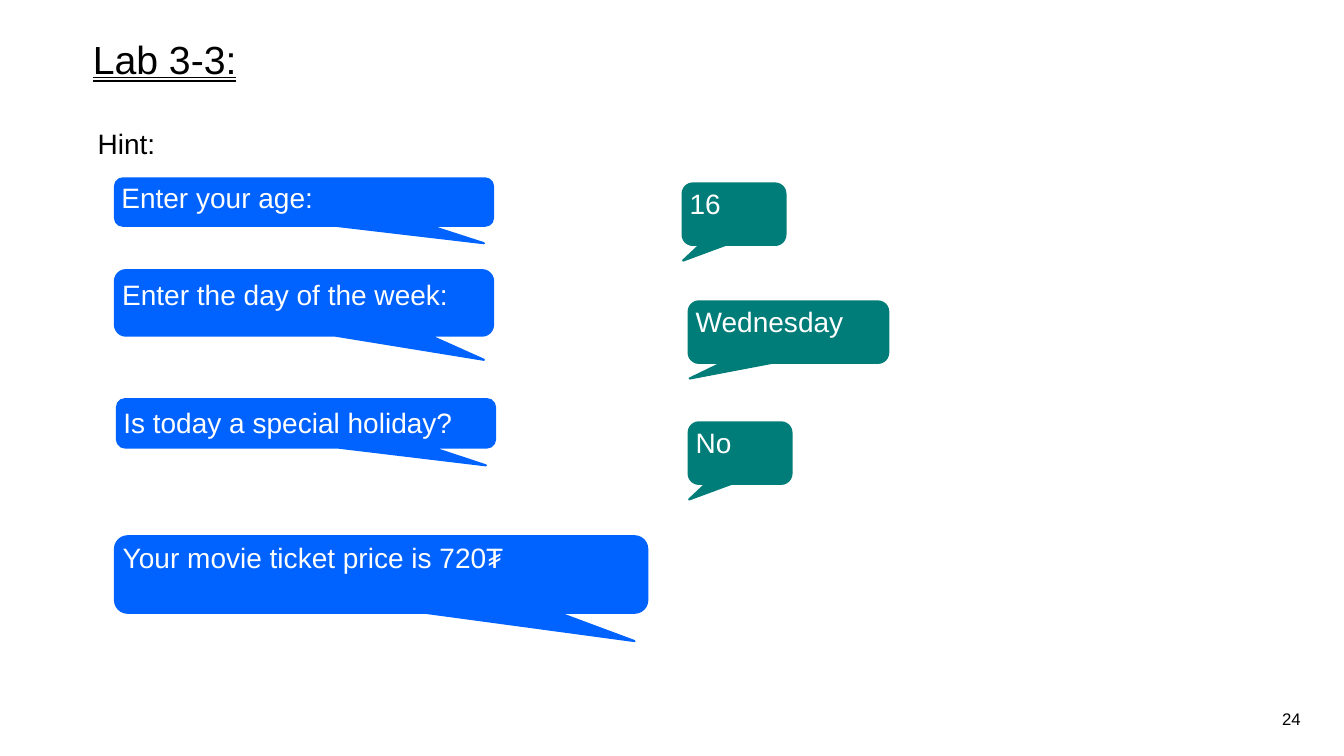
from dataclasses import dataclass

from pptx import Presentation
from pptx.dml.color import RGBColor
from pptx.enum.shapes import MSO_SHAPE
from pptx.enum.text import MSO_ANCHOR, MSO_UNDERLINE, PP_ALIGN
from pptx.util import Inches, Pt

CALLOUT = MSO_SHAPE.ROUNDED_RECTANGULAR_CALLOUT
TOP = MSO_ANCHOR.TOP
LEFT, RIGHT = PP_ALIGN.LEFT, PP_ALIGN.RIGHT
DOUBLE_UNDERLINE = MSO_UNDERLINE.DOUBLE_LINE


@dataclass(frozen=True)
class Theme:
    font: str = "Arial"
    text: RGBColor = RGBColor(0x00, 0x00, 0x00)
    bubble_text: RGBColor = RGBColor(0xFF, 0xFF, 0xFF)
    prompt: RGBColor = RGBColor(0x00, 0x62, 0xFF)
    reply: RGBColor = RGBColor(0x00, 0x7D, 0x79)
    title_size: int = 28
    body_size: int = 20
    number_size: int = 12
    outline: float = 1.5


THEME = Theme()
SLIDE_SIZE = (13.33, 7.5)
BUBBLE_INSET = 0.04
TEXT_INSETS = (0.1, 0.05)

TITLE = ("Lab 3-3:", (0.92, 0.4, 11.5, 0.78))
HINT = ("Hint:", (0.87, 1.21, 0.81, 0.44))
PAGE_NUMBER = ("24", (10.33, 6.98, 2.67, 0.24))

# Fill and tail position for each speaker; every corner has the same rounding.
SPEAKERS = {
    "prompt": (THEME.prompt, (0.476, 0.869, 0.167)),
    "reply": (THEME.reply, (-0.495, 0.755, 0.167)),
}
# Speaker, wording, box (left, top, width, height), line spacing
BUBBLES = [
    ("prompt", "Enter your age:", (1.14, 1.77, 3.75, 0.47), 0.9),
    ("reply", "16", (6.77, 1.82, 1.02, 0.61), 0.9),
    ("prompt", "Enter the day of the week:", (1.14, 2.68, 3.75, 0.65), 1.0),
    ("reply", "Wednesday", (6.83, 2.99, 1.98, 0.61), 0.9),
    ("prompt", "Is today a special holiday?", (1.16, 3.96, 3.75, 0.48), 1.0),
    ("reply", "No", (6.83, 4.19, 1.02, 0.61), 0.9),
    ("prompt", "Your movie ticket price is 720₮", (1.14, 5.32, 5.28, 0.76), 0.9),
]


def to_inches(box):
    return [Inches(length) for length in box]


def write_text(shape, text, size, color, insets, spacing=1.0, alignment=LEFT):
    frame = shape.text_frame
    frame.text = text
    frame.word_wrap = True
    frame.vertical_anchor = TOP
    horizontal, vertical = to_inches(insets)
    frame.margin_left = frame.margin_right = horizontal
    frame.margin_top = frame.margin_bottom = vertical
    paragraph = frame.paragraphs[0]
    paragraph.alignment = alignment
    paragraph.line_spacing = spacing
    paragraph.font.name = THEME.font
    paragraph.font.size = Pt(size)
    paragraph.font.color.rgb = color
    return paragraph


def add_title(slide):
    text, box = TITLE
    title = slide.shapes.title
    title.left, title.top, title.width, title.height = to_inches(box)
    paragraph = write_text(title, text, THEME.title_size, THEME.text, (0, 0), 0.9)
    paragraph.font.underline = DOUBLE_UNDERLINE


def add_label(slide, label, size, alignment=LEFT):
    text, box = label
    shape = slide.shapes.add_textbox(*to_inches(box))
    write_text(shape, text, size, THEME.text, TEXT_INSETS, alignment=alignment)


def add_bubble(slide, speaker, text, box, spacing):
    color, adjustments = SPEAKERS[speaker]
    bubble = slide.shapes.add_shape(CALLOUT, *to_inches(box))
    for index, value in enumerate(adjustments):
        bubble.adjustments[index] = value
    bubble.shadow.inherit = False
    bubble.fill.solid()
    bubble.fill.fore_color.rgb = color
    bubble.line.color.rgb = color
    bubble.line.width = Pt(THEME.outline)
    write_text(bubble, text, THEME.body_size, THEME.bubble_text,
               (BUBBLE_INSET, BUBBLE_INSET), spacing)


def main():
    presentation = Presentation()
    presentation.slide_width, presentation.slide_height = to_inches(SLIDE_SIZE)
    title_only = presentation.slide_layouts[5]
    slide = presentation.slides.add_slide(title_only)
    add_title(slide)
    add_label(slide, HINT, THEME.body_size)
    for bubble in BUBBLES:
        add_bubble(slide, *bubble)
    add_label(slide, PAGE_NUMBER, THEME.number_size, RIGHT)
    presentation.save("out.pptx")


if __name__ == "__main__":
    main()
